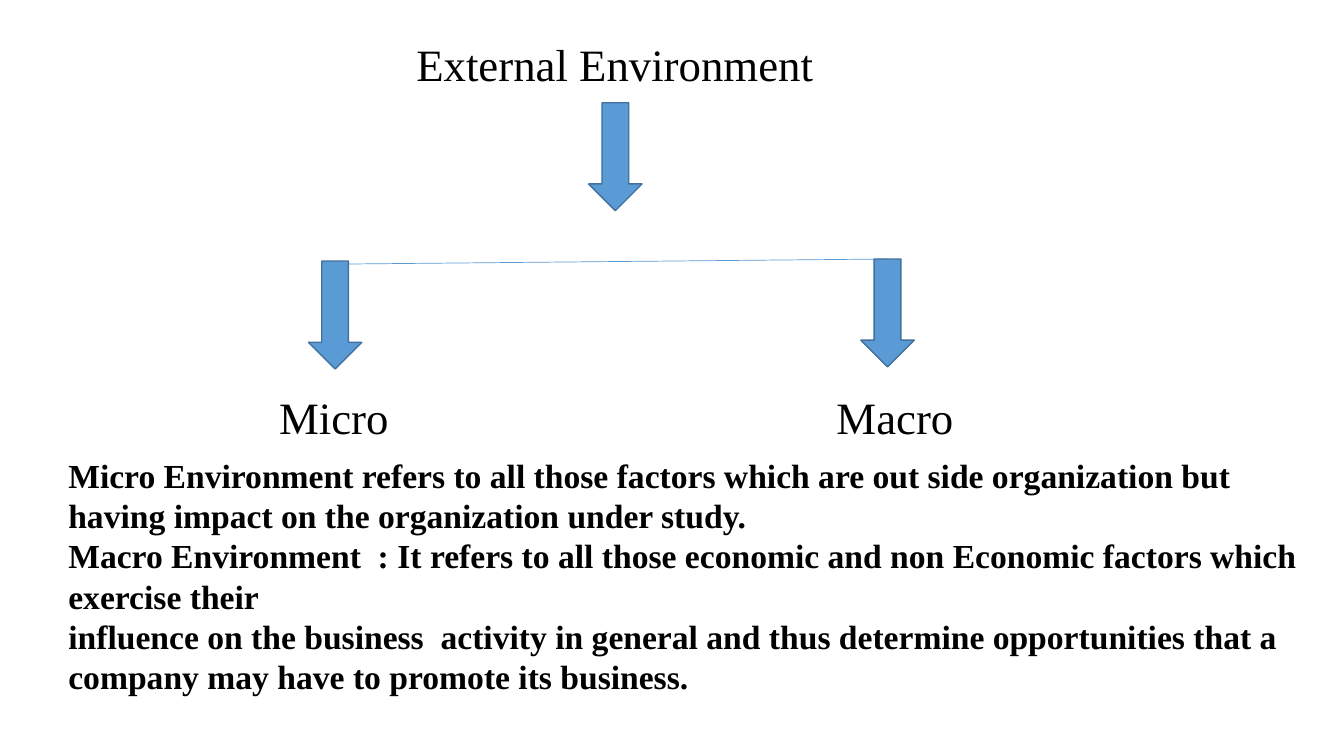
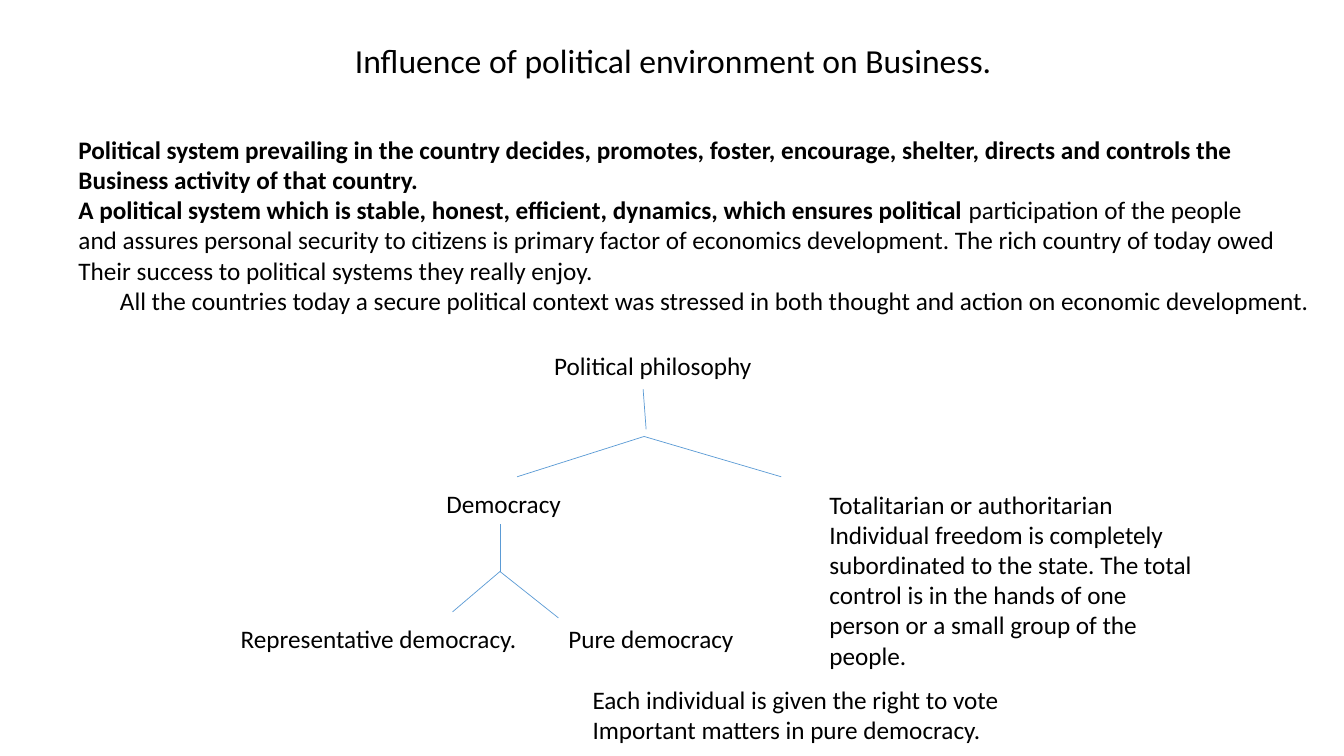
"""Build two slides on the external and political environment of business."""
from lxml import etree
from pptx import Presentation
from pptx.dml.color import RGBColor
from pptx.enum.shapes import MSO_CONNECTOR, MSO_SHAPE
from pptx.enum.text import MSO_ANCHOR, MSO_AUTO_SIZE, PP_ALIGN
from pptx.oxml.ns import qn
from pptx.util import Inches, Pt

LEFT, CENTER = PP_ALIGN.LEFT, PP_ALIGN.CENTER
TOP, FIXED = MSO_ANCHOR.TOP, MSO_AUTO_SIZE.NONE
STRAIGHT, DOWN_ARROW = MSO_CONNECTOR.STRAIGHT, MSO_SHAPE.DOWN_ARROW
TITLE_ONLY = 5
SERIF, SANS = "Times New Roman", "Calibri"


def color(hex_string):
    return RGBColor.from_string(hex_string)


def write(frame, *paragraphs, font=SANS, size=18, bold=False, last_align=LEFT):
    frame.word_wrap = True
    frame.auto_size = FIXED
    frame.vertical_anchor = TOP
    for index, content in enumerate(paragraphs):
        paragraph = frame.paragraphs[0] if index == 0 else frame.add_paragraph()
        paragraph.alignment = last_align if content is paragraphs[-1] else LEFT
        runs = [(content, bold)] if isinstance(content, str) else content
        for words, is_bold in runs:
            run = paragraph.add_run()
            run.text = words
            run.font.name = font
            run.font.size = Pt(size)
            run.font.bold = is_bold
            run.font.color.rgb = color(Deck.INK)


class Deck:
    INK, BLUE, EDGE = "000000", "5B9BD5", "41719C"
    CELL = Inches(0.1)
    COLUMNS, ROWS = 133.33, 75
    ARROW_WIDTH, ARROW_HEIGHT = 5.3, 10.7

    def __init__(self):
        self.presentation = Presentation()
        self.presentation.slide_width = self.grid(self.COLUMNS)
        self.presentation.slide_height = self.grid(self.ROWS)
        self.slide = None

    def grid(self, cells):
        return round(cells * self.CELL)

    def box(self, *cells):
        return [self.grid(cell) for cell in cells]

    def start(self, heading, place, **style):
        layout = self.presentation.slide_layouts[TITLE_ONLY]
        self.slide = self.presentation.slides.add_slide(layout)
        title = self.slide.shapes.title
        title.left, title.top, title.width, title.height = self.box(*place)
        write(title.text_frame, heading, **style)

    def text(self, place, *paragraphs, **style):
        shape = self.slide.shapes.add_textbox(*self.box(*place))
        write(shape.text_frame, *paragraphs, **style)

    def arrow(self, column, row):
        shape = self.slide.shapes.add_shape(
            DOWN_ARROW, *self.box(column, row, self.ARROW_WIDTH, self.ARROW_HEIGHT))
        shape.shadow.inherit = False
        shape.fill.solid()
        shape.fill.fore_color.rgb = color(self.BLUE)
        shape.line.color.rgb = color(self.EDGE)
        shape.line.width = Pt(1)

    def line(self, start, end):
        connector = self.slide.shapes.add_connector(
            STRAIGHT, *self.box(*start, *end))
        connector.line.color.rgb = color(self.BLUE)
        connector.line.width = Pt(0.5)
        properties = connector._element.spPr
        etree.SubElement(properties, qn("a:effectLst"))

    def branch(self, stem, fork, *ends):
        self.line(*stem)
        for end in ends:
            self.line(fork, end)


def external_environment(deck):
    deck.start("External Environment", (40.3, 3.1, 56, 6.4), font=SERIF, size=32)
    deck.arrow(58.4, 10.2)
    deck.line((34, 26.2), (88, 25.7))
    for column, row in ((30.6, 25.9), (85.4, 25.7)):
        deck.arrow(column, row)
    for label, column in (("Micro", 26.7), ("Macro", 82)):
        deck.text((column, 38.2, 20, 6.4), label, font=SERIF, size=32)
    deck.text(
        (5.8, 44.6, 126.3, 27),
        "Micro Environment refers to all those factors which are out side "
        "organization but having impact on the organization under study.",
        "Macro Environment  : It refers to all those economic and non Economic "
        "factors which exercise their",
        "influence on the business  activity in general and thus determine "
        "opportunities that a company may have to promote its business.",
        font=SERIF, size=24, bold=True)


def political_environment(deck):
    deck.start("Influence of political environment on Business.",
               (34.2, 3.5, 69.6, 5.1), size=24)
    deck.text(
        (6.8, 12.8, 128.2, 19.2),
        [("Political system prevailing in the country decides, promotes, foster, "
          "encourage, shelter, directs and controls the", True)],
        [("Business activity of that country.", True)],
        [("A political system which is stable, honest, efficient, dynamics, "
          "which ensures political ", True), ("participation of the people", False)],
        "and assures personal security to citizens is primary factor of economics "
        "development. The rich country of today owed",
        "Their success to political systems they really enjoy.",
        "All the countries today a secure political context was stressed in both "
        "thought and action on economic development.",
        last_align=CENTER)

    deck.text((54, 34.3, 24.7, 4), "Political philosophy")
    deck.branch(((63.8, 38.6), (64.1, 42.6)), (63.9, 43.3),
                (51.3, 47.3), (77.5, 47.3))
    deck.text((43.3, 48, 14.5, 4), "Democracy")
    deck.text(
        (81.3, 48, 38.7, 19.2),
        "Totalitarian or authoritarian",
        "Individual freedom is completely subordinated to the state. The total "
        "control is in the hands of one person or a small group of the people.")

    fork = (49.6, 56.7)
    deck.branch(((49.6, 52), fork), fork, (44.9, 60.7), (55.4, 61.3))
    deck.text((22.9, 61.3, 32, 4), "Representative democracy.")
    deck.text((55.4, 61.3, 20, 4), "Pure democracy")
    deck.text((57.8, 67.4, 44, 7.1),
              "Each individual is given the right to vote",
              "Important matters in pure democracy.")


def main():
    deck = Deck()
    external_environment(deck)
    political_environment(deck)
    deck.presentation.save("out.pptx")


if __name__ == "__main__":
    main()
